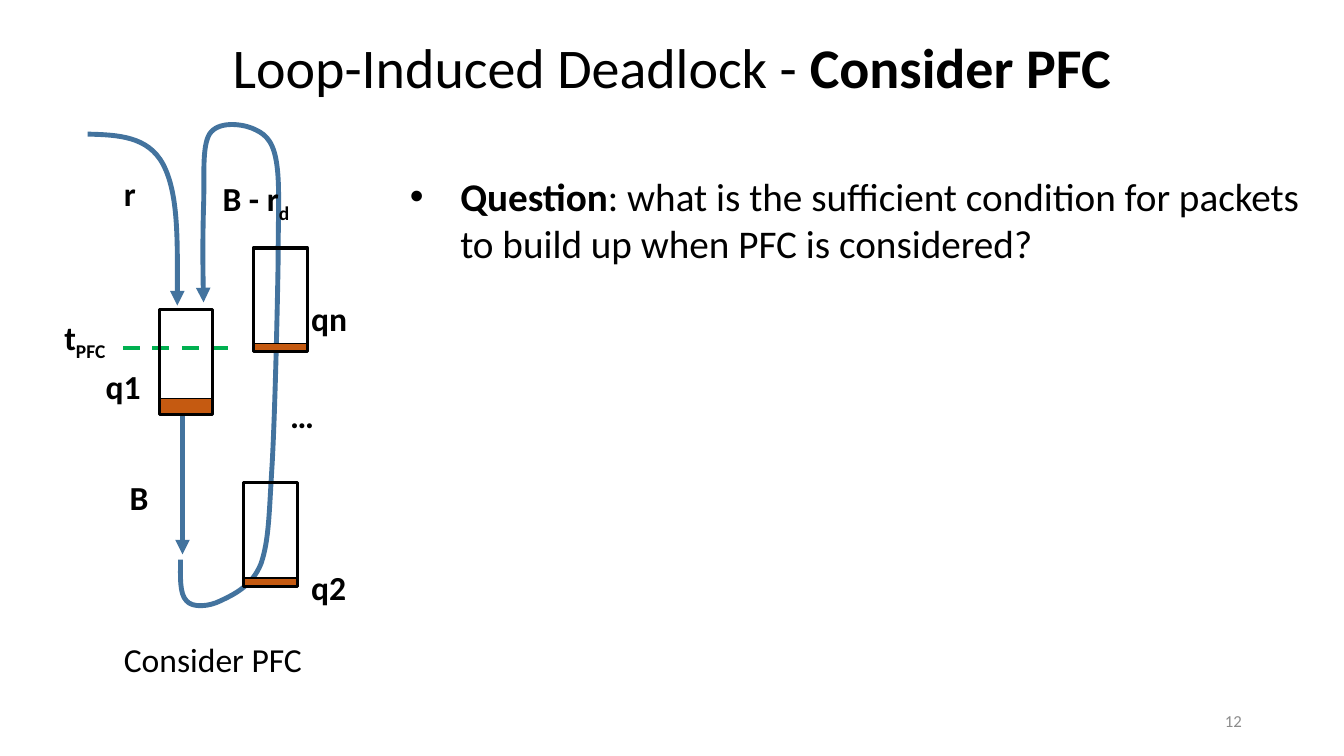
from lxml.etree import SubElement
from pptx import Presentation
from pptx.dml.color import RGBColor
from pptx.enum.dml import MSO_LINE as Dash
from pptx.enum.shapes import MSO_CONNECTOR as Link, MSO_SHAPE as Shape
from pptx.enum.text import MSO_ANCHOR as Anchor, PP_ALIGN as Align
from pptx.oxml.ns import qn
from pptx.util import Cm, Pt

BLACK = RGBColor(0x00, 0x00, 0x00)
GRAY = RGBColor(0x8C, 0x8C, 0x8C)
BLUE = RGBColor(0x43, 0x73, 0x9E)
GREEN = RGBColor(0x00, 0xB0, 0x50)
ORANGE = RGBColor(0xC5, 0x5A, 0x11)


class Board:
    font = "Calibri"
    flow = 3.5

    def __init__(self, slide):
        self.shapes = slide.shapes

    def text(self, box, *parts, size=24, color=BLACK, bold=None, align=Align.LEFT,
             wrap=True, anchor=Anchor.TOP, bullet=False):
        """Each part is a string or a (string, style) pair; style is "bold" or "sub"."""
        frame = self.shapes.add_textbox(*map(Cm, box)).text_frame
        frame.word_wrap = wrap
        frame.vertical_anchor = anchor
        para = frame.paragraphs[0]
        para.alignment = align
        if bullet:
            props = para._p.get_or_add_pPr()
            props.set("marL", str(Cm(1.27)))
            props.set("indent", str(-Cm(1.27)))
            SubElement(props, qn("a:buFont")).set("typeface", "Arial")
            SubElement(props, qn("a:buChar")).set("char", "•")
        font = para.font
        font.name, font.size, font.bold = self.font, Pt(size), bold
        font.color.rgb = color
        for part in parts:
            words, style = (part, None) if isinstance(part, str) else part
            run = para.add_run()
            run.text = words
            if style == "bold":
                run.font.bold = True
            elif style == "sub":
                run._r.get_or_add_rPr().set("baseline", "-25000")

    def label(self, left, top, width, *parts, **style):
        self.text((left, top, width, 1.27), *parts, bold=True, **style)

    def rect(self, left, top, width, height, weight, fill=None):
        box = self.shapes.add_shape(Shape.RECTANGLE, *map(Cm, (left, top, width, height)))
        box.shadow.inherit = False
        if fill is None:
            box.fill.background()
        else:
            box.fill.solid()
            box.fill.fore_color.rgb = fill
        box.line.color.rgb = BLACK
        box.line.width = Pt(weight)

    def queue(self, left, top, width, height, level):
        """A queue with packets filling its bottom."""
        self.rect(left, top + height - level - 0.02, width, level, 1, ORANGE)
        self.rect(left, top, width, height, 2.25)

    def head(self, line):
        SubElement(line._get_or_add_ln(), qn("a:tailEnd")).set("type", "triangle")

    def line(self, start, end, color, weight, dash=None, arrow=False):
        link = self.shapes.add_connector(Link.STRAIGHT, *map(Cm, start + end))
        SubElement(link._element.spPr, qn("a:effectLst"))
        link.line.color.rgb = color
        link.line.width = Pt(weight)
        if dash is not None:
            link.line.dash_style = dash
        if arrow:
            self.head(link.line)

    def curve(self, start, *points):
        """A Bezier arrow: every three points are two controls and an end."""
        build = self.shapes.build_freeform(Cm(start[0]), Cm(start[1]))
        build.add_line_segments([(Cm(x), Cm(y)) for x, y in points], close=False)
        shape = build.convert_to_shape()
        shape.shadow.inherit = False
        shape.fill.background()
        shape.line.color.rgb = BLUE
        shape.line.width = Pt(self.flow)
        self.head(shape.line)
        # Join straight steps into cubic pieces
        track = next(shape._element.iter(qn("a:path")))
        for i, step in enumerate(track.findall(qn("a:lnTo"))):
            if i % 3 == 0:
                cubic = SubElement(track, qn("a:cubicBezTo"))
            cubic.append(step[0])
            track.remove(step)


def main():
    deck = Presentation()
    deck.slide_width, deck.slide_height = Cm(33.87), Cm(19.05)
    board = Board(deck.slides.add_slide(deck.slide_layouts[6]))

    # Title, caption and slide number
    board.text((23.93, 17.65, 7.62, 1.02), "12", size=12, color=GRAY,
               align=Align.RIGHT, anchor=Anchor.MIDDLE)
    board.text((2.59, 0.69, 28.68, 1.96), "Loop-Induced Deadlock - ",
               ("Consider PFC", "bold"), size=40, align=Align.CENTER)
    board.text((2.87, 15.98, 5.23, 1.27), "Consider PFC")

    # Threshold
    board.line((3.1, 8.76), (6.02, 8.76), GREEN, 3, dash=Dash.DASH)
    board.label(1.3, 7.85, 1.68, "t", ("PFC", "sub"), align=Align.CENTER, wrap=False)

    # Inflow, loop and outflow
    board.curve((2.21, 3.38), (2.97, 3.4), (3.73, 3.43), (4.11, 4.14),
                (4.5, 4.88), (4.47, 6.27), (4.47, 7.7))
    board.curve((4.55, 14.1), (4.55, 14.53), (4.52, 14.96), (4.7, 15.14),
                (4.85, 15.32), (5.26, 15.29), (5.56, 15.14),
                (5.87, 14.99), (6.35, 14.78), (6.58, 14.2),
                (6.78, 13.61), (6.78, 12.95), (6.86, 11.68),
                (6.93, 10.41), (6.99, 7.85), (7.01, 6.58),
                (7.01, 5.31), (7.06, 4.6), (6.96, 4.04),
                (6.86, 3.48), (6.63, 3.35), (6.35, 3.23),
                (6.07, 3.12), (5.49, 3.05), (5.28, 3.38),
                (5.08, 3.71), (5.16, 4.5), (5.13, 5.21),
                (5.11, 5.92), (5.11, 6.76), (5.13, 7.62))
    board.line((4.6, 10.29), (4.6, 13.97), BLUE, board.flow, arrow=True)

    # Queues
    board.queue(4.01, 7.8, 1.34, 2.64, 0.38)
    board.queue(6.14, 12.17, 1.37, 2.62, 0.2)
    board.queue(6.38, 6.25, 1.37, 2.62, 0.2)

    # Rates and queue names
    board.label(2.87, 4.24, 0.91, "r")
    board.label(5.36, 4.37, 2.64, "B - r", ("d", "sub"))
    board.label(3.02, 11.89, 0.84, "B")
    for left, top, name in ((7.06, 9.83, "…"), (2.41, 9.09, "q1"),
                            (7.59, 14.17, "q2"), (7.59, 7.37, "qn")):
        board.label(left, top, 1.6, name, wrap=False)

    # Question
    board.text((10.08, 4.22, 22.99, 2.64), ("Question", "bold"),
               ": what is the sufficient condition for packets to build up"
               " when PFC is considered?", size=28, bullet=True)

    deck.save("out.pptx")


if __name__ == "__main__":
    main()
